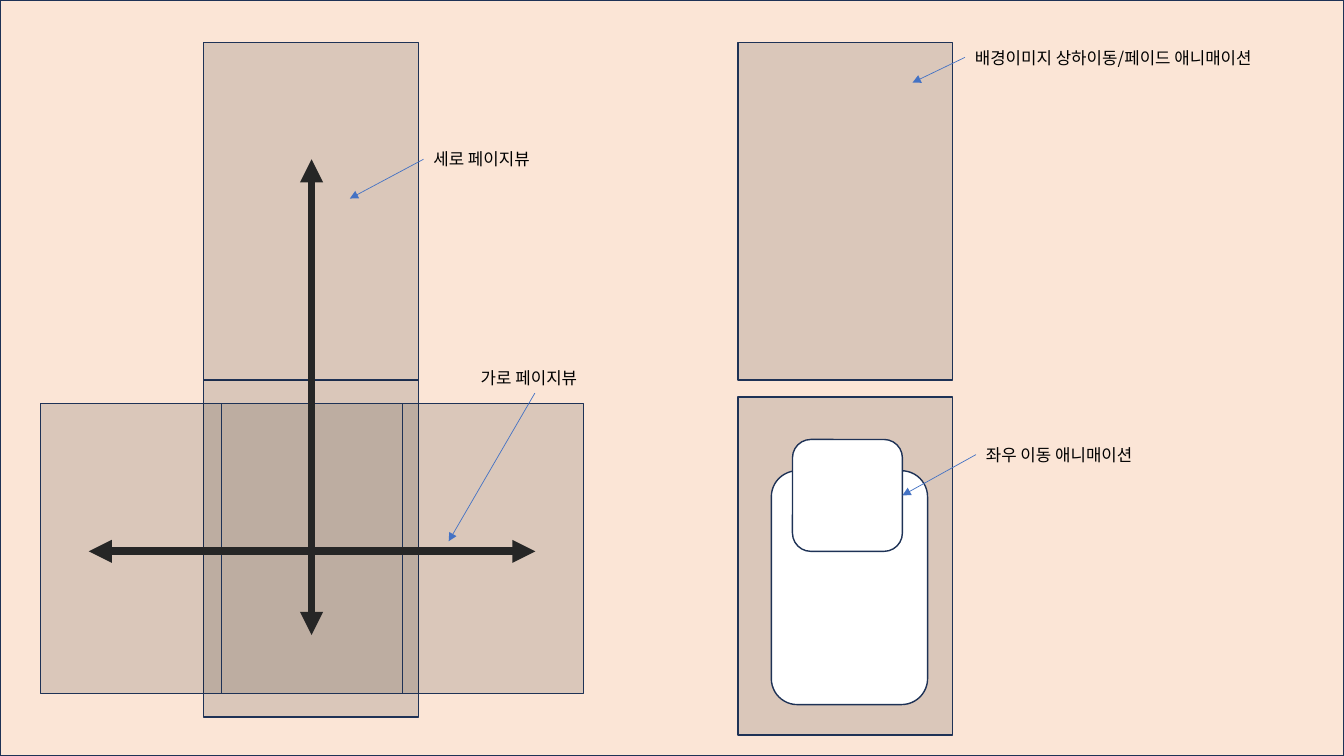
from lxml.etree import SubElement
from pptx import Presentation
from pptx.dml.color import RGBColor
from pptx.enum.shapes import MSO_CONNECTOR, MSO_SHAPE
from pptx.enum.text import MSO_AUTO_SIZE
from pptx.oxml.ns import qn
from pptx.util import Inches, Pt

FONT = "Noto Sans CJK KR"
BACKGROUND, OUTLINE, WHITE, BLACK = "FBE5D6", "1E3256", "FFFFFF", "000000"
SWIPE_COLOR, POINTER_COLOR = "262626", "4472C4"
SLIDE_WIDTH, SLIDE_HEIGHT = 13.33, 7.5
PAGE_OPACITY = 13

PORTRAIT = (2.13, 3.35)
LANDSCAPE_PAGE = (1.8, 2.88)
VERTICAL_PAGES = [(2.02, 0.42 + row * 3.345) for row in range(2)]
HORIZONTAL_PAGES = [(0.4 + column * 1.795, 4) for column in (1, 0, 2)]
SCREENS = [(7.32, 0.42), (7.32, 3.94)]
CARDS = [(7.65, 4.67, 1.55, 2.32), (7.86, 4.36, 1.09, 1.11)]
SWIPES = [((3.09, 1.58), (3.09, 6.3)), ((5.31, 5.47), (0.88, 5.47))]

LABEL_HEIGHT = 0.3
LEFT_SIDE, BOTTOM_SIDE, RIGHT_SIDE = 1, 2, 3
LABELS = [
    ("배경이미지 상하이동/페이드 애니매이션", 9.57, 0.42, 3.25, LEFT_SIDE, (9.05, 0.82)),
    ("좌우 이동 애니매이션", 9.68, 4.36, 1.84, LEFT_SIDE, None),
    ("세로 페이지뷰", 4.2, 1.43, 1.27, LEFT_SIDE, (3.47, 1.97)),
    ("가로 페이지뷰", 4.67, 3.6, 1.27, BOTTOM_SIDE, (4.45, 5.37)),
]


def color(hex_string):
    return RGBColor.from_string(hex_string)


def add_box(slide, left, top, width, height, fill, opacity=100, kind=MSO_SHAPE.RECTANGLE):
    shape = slide.shapes.add_shape(kind, Inches(left), Inches(top), Inches(width), Inches(height))
    shape.shadow.inherit = False
    shape.fill.solid()
    shape.fill.fore_color.rgb = color(fill)
    shape.line.color.rgb = color(OUTLINE)
    shape.line.width = Pt(1)
    if opacity < 100:
        fill_color = shape._element.spPr.find(qn("a:solidFill"))[0]
        SubElement(fill_color, qn("a:alpha"), val=str(opacity * 1000))
    return shape


def add_arrow(slide, start, end, line_color, width, ends):
    arrow = slide.shapes.add_connector(
        MSO_CONNECTOR.STRAIGHT, *[Inches(length) for length in (*start, *end)])
    arrow.line.color.rgb = color(line_color)
    arrow.line.width = Pt(width)
    for end_name in ends:
        SubElement(arrow.line._get_or_add_ln(), qn(f"a:{end_name}"), type="triangle")
    SubElement(arrow._element.spPr, qn("a:effectLst"))
    return arrow


def add_label(slide, text, left, top, width):
    label = slide.shapes.add_textbox(
        Inches(left), Inches(top), Inches(width), Inches(LABEL_HEIGHT))
    label.text_frame.word_wrap = False
    label.text_frame.auto_size = MSO_AUTO_SIZE.SHAPE_TO_FIT_TEXT
    label.text_frame.text = text
    run = label.text_frame.paragraphs[0].runs[0]
    run.font.size = Pt(12)
    run.font.name = FONT
    run.font.color.rgb = color(BLACK)
    SubElement(run.font._element, qn("a:ea"), typeface=FONT)
    return label


def main():
    presentation = Presentation()
    presentation.slide_width = Inches(SLIDE_WIDTH)
    presentation.slide_height = Inches(SLIDE_HEIGHT)
    slide = presentation.slides.add_slide(presentation.slide_layouts[6])

    add_box(slide, 0, 0, SLIDE_WIDTH, SLIDE_HEIGHT, BACKGROUND)
    for positions, size in ((VERTICAL_PAGES, PORTRAIT), (HORIZONTAL_PAGES, LANDSCAPE_PAGE)):
        for position in positions:
            add_box(slide, *position, *size, BLACK, PAGE_OPACITY)
    for start, end in SWIPES:
        add_arrow(slide, start, end, SWIPE_COLOR, 5.5, ("headEnd", "tailEnd"))

    for position in SCREENS:
        add_box(slide, *position, *PORTRAIT, BLACK, PAGE_OPACITY)
    for card in CARDS:
        front_card = add_box(slide, *card, WHITE, kind=MSO_SHAPE.ROUNDED_RECTANGLE)

    for text, left, top, width, side, target in LABELS:
        label = add_label(slide, text, left, top, width)
        pointer = add_arrow(slide, (left, top), target or (left, top),
                            POINTER_COLOR, 0.5, ("tailEnd",))
        pointer.begin_connect(label, side)
        if target is None:
            pointer.end_connect(front_card, RIGHT_SIDE)

    presentation.save("out.pptx")


if __name__ == "__main__":
    main()
